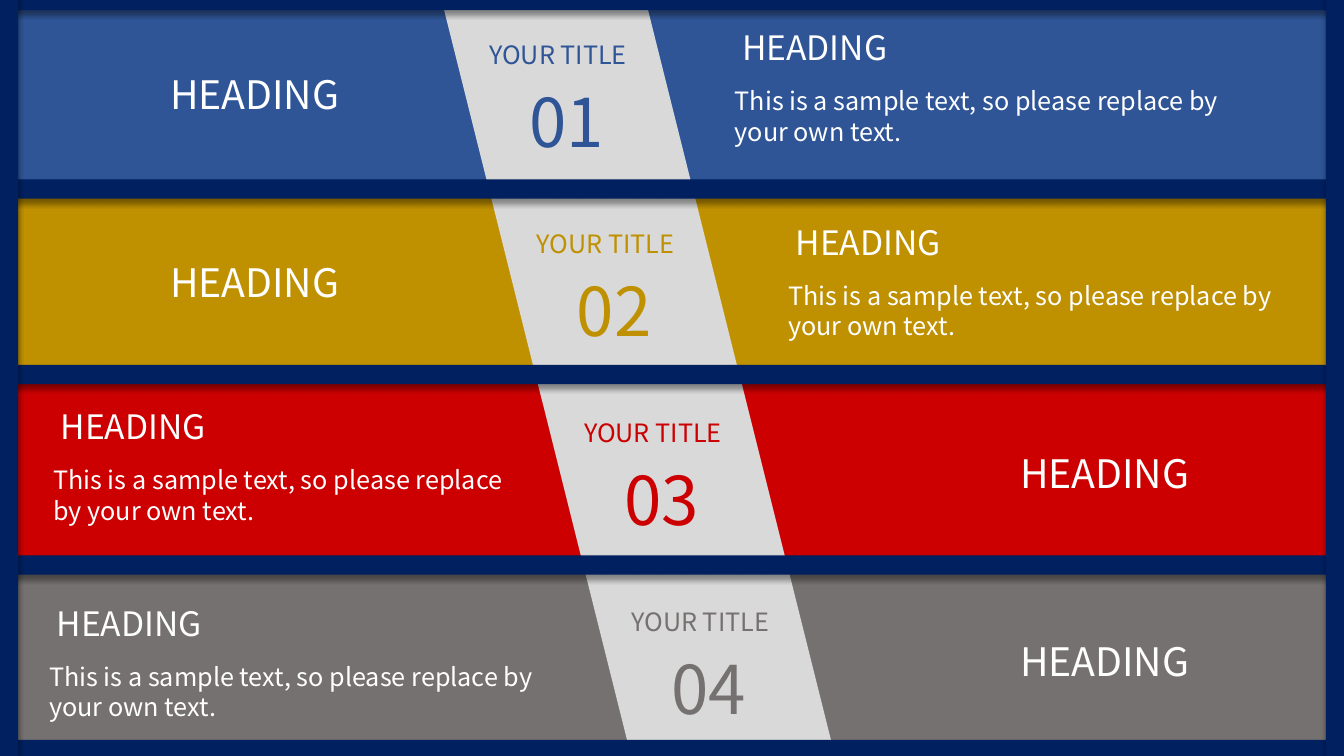
"""Build a slide of four coloured bands with numbered slanted panels."""
from lxml.etree import SubElement
from pptx import Presentation
from pptx.dml.color import RGBColor
from pptx.enum.shapes import MSO_SHAPE as Shape
from pptx.enum.text import MSO_AUTO_SIZE as AutoSize, PP_ALIGN as Align
from pptx.oxml.ns import qn
from pptx.util import Inches, Pt

FONT = "Noto Sans CJK SC"
WHITE = RGBColor(0xFF, 0xFF, 0xFF)
NAVY = RGBColor(0x00, 0x20, 0x60)
SILVER = RGBColor(0xD9, 0xD9, 0xD9)
BLUE = RGBColor(0x2F, 0x55, 0x97)
GOLD = RGBColor(0xBF, 0x90, 0x00)
RED = RGBColor(0xCC, 0x00, 0x00)
GREY = RGBColor(0x76, 0x71, 0x71)

WIDTH, HEIGHT = 13.33, 7.5
BAND_STEP = HEIGHT / 4
PANEL_LEFT, PANEL_STEP = 4.38, 0.47
BAR = 0.19
BAR_TOPS = (-0.09, 1.78, 3.62, 5.51, 7.34)
SIDE_LEFTS = (0, 13.15)
SAMPLE = "This is a sample text, so please replace by your own text."

# colour, main heading (left, top), detail (left, top, width)
BANDS = (
    (BLUE, (1.49, 0.65), (7.19, 0.22, 5.2)),
    (GOLD, (1.49, 2.51), (7.72, 2.15, 5.2)),
    (RED, (9.92, 4.41), (0.43, 3.98, 4.82)),
    (GREY, (9.92, 6.27), (0.39, 5.93, 5.2)),
)


def add_block(slide, kind, left, top, width, height, color):
    """Add a flat preset shape without outline or shadow."""
    block = slide.shapes.add_shape(
        kind, Inches(left), Inches(top), Inches(width), Inches(height))
    block.shadow.inherit = False
    block.fill.solid()
    block.fill.fore_color.rgb = color
    block.line.fill.background()
    return block


def add_label(slide, text, left, top, width, height, size, color,
              align=Align.CENTER):
    """Add a one-paragraph text box."""
    label = slide.shapes.add_textbox(
        Inches(left), Inches(top), Inches(width), Inches(height))
    frame = label.text_frame
    frame.word_wrap = True
    frame.auto_size = AutoSize.SHAPE_TO_FIT_TEXT
    paragraph = frame.paragraphs[0]
    paragraph.alignment = align
    run = paragraph.add_run()
    run.text = text
    for name, value in {"name": FONT, "size": Pt(size)}.items():
        setattr(run.font, name, value)
    run.font.color.rgb = color


def add_bar(slide, left, top, width, height):
    """Add a navy frame bar that casts a soft shadow downwards."""
    bar = add_block(slide, Shape.RECTANGLE, left, top, width, height, NAVY)
    effects = bar._element.spPr.find(qn("a:effectLst"))
    shadow = SubElement(effects, qn("a:outerShdw"), blurRad=str(Pt(4)),
                        dist=str(Pt(3)), dir="5400000", rotWithShape="0")
    tint = SubElement(shadow, qn("a:srgbClr"), val="000000")
    SubElement(tint, qn("a:alpha"), val="40000")


def add_detail(slide, left, top, width):
    """Add a small heading with its sample text below."""
    add_label(slide, "HEADING", left, top, 1.78, 0.5, 24, WHITE)
    add_label(slide, SAMPLE, left, top + 0.58, width, 0.71, 18, WHITE,
              Align.LEFT)


def add_panel(slide, index, color):
    """Add the slanted panel with its title and number."""
    left, top = PANEL_LEFT + index * PANEL_STEP, index * BAND_STEP
    panel = add_block(slide, Shape.PARALLELOGRAM, left, top, 2.49, 1.87, SILVER)
    panel._element.spPr.xfrm.set("flipH", "1")
    add_label(slide, "YOUR TITLE", left + 0.15, top + 0.34, 2.01, 0.4, 18, color)
    add_label(slide, f"{index + 1:02}", left + 0.68, top + 0.75, 1.12, 0.91,
              48, color)


def main():
    """Compose the slide and save it."""
    deck = Presentation()
    deck.slide_width, deck.slide_height = Inches(WIDTH), Inches(HEIGHT)
    slide = deck.slides.add_slide(deck.slide_layouts[6])
    for index, (color, heading, detail) in enumerate(BANDS):
        add_block(slide, Shape.RECTANGLE, 0, index * BAND_STEP, WIDTH,
                  BAND_STEP, color)
        add_detail(slide, *detail)
        add_label(slide, "HEADING", *heading, 2.07, 0.57, 28, WHITE)
        add_panel(slide, index, color)
    for top in BAR_TOPS:
        add_bar(slide, 0, top, WIDTH, BAR)
    for left in SIDE_LEFTS:
        add_bar(slide, left, BAR_TOPS[0], 0.18, 7.62)
    deck.save("out.pptx")


if __name__ == "__main__":
    main()
